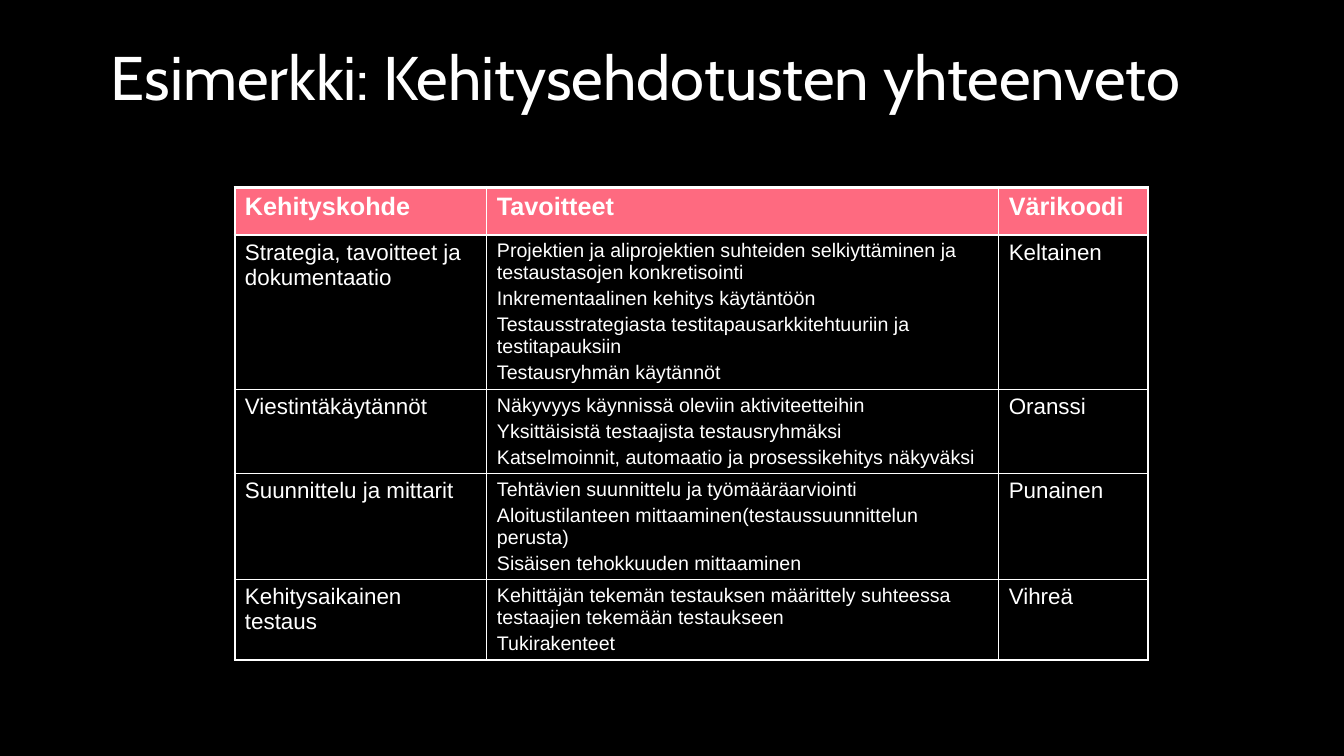
from lxml import etree
from pptx import Presentation
from pptx.dml.color import RGBColor
from pptx.enum.text import MSO_ANCHOR, MSO_AUTO_SIZE, PP_ALIGN
from pptx.oxml.ns import qn
from pptx.util import Cm, Pt

WHITE, PINK, BLACK = "FFFFFF", "FE6A80", "000000"


def color(hex_string):
    return RGBColor.from_string(hex_string)


def add_borders(cell, widths):
    """Draw white borders; widths in points: left, right, top, bottom."""
    properties = cell._tc.get_or_add_tcPr()
    for position, (side, width) in enumerate(zip("LRTB", widths)):
        line = etree.Element(qn(f"a:ln{side}"), w=str(Pt(width)))
        fill = etree.SubElement(line, qn("a:solidFill"))
        etree.SubElement(fill, qn("a:srgbClr"), val=WHITE)
        properties.insert(position, line)


prs = Presentation()
prs.slide_width, prs.slide_height = Cm(33.87), Cm(19.05)
slide = prs.slides.add_slide(prs.slide_layouts[5])
slide.background.fill.solid()
slide.background.fill.fore_color.rgb = color(BLACK)

# Title
title = slide.shapes.title
title.left, title.top, title.width, title.height = Cm(2.54), Cm(0.43), Cm(28.78), Cm(3.18)
title.text_frame.text = "Esimerkki: Kehitysehdotusten yhteenveto"
title.text_frame.auto_size = MSO_AUTO_SIZE.NONE
title.text_frame.vertical_anchor = MSO_ANCHOR.MIDDLE
heading = title.text_frame.paragraphs[0]
heading.alignment = PP_ALIGN.LEFT
heading.line_spacing = 0.9
heading.font.name, heading.font.size = "Cabin", Pt(44)
heading.font.color.rgb = color(WHITE)

# Summary table: area, goals, colour code
summary = [
    ("Kehityskohde", "Tavoitteet", "Värikoodi"),
    ("Strategia, tavoitteet ja dokumentaatio",
     "Projektien ja aliprojektien suhteiden selkiyttäminen ja testaustasojen konkretisointi\n"
     "Inkrementaalinen kehitys käytäntöön\n"
     "Testausstrategiasta testitapausarkkitehtuuriin ja testitapauksiin\n"
     "Testausryhmän käytännöt",
     "Keltainen"),
    ("Viestintäkäytännöt",
     "Näkyvyys käynnissä oleviin aktiviteetteihin\n"
     "Yksittäisistä testaajista testausryhmäksi\n"
     "Katselmoinnit, automaatio ja prosessikehitys näkyväksi",
     "Oranssi"),
    ("Suunnittelu ja mittarit",
     "Tehtävien suunnittelu ja työmääräarviointi\n"
     "Aloitustilanteen mittaaminen(testaussuunnittelun perusta)\n"
     "Sisäisen tehokkuuden mittaaminen",
     "Punainen"),
    ("Kehitysaikainen testaus",
     "Kehittäjän tekemän testauksen määrittely suhteessa testaajien tekemään testaukseen\n"
     "Tukirakenteet",
     "Vihreä"),
]
column_widths = [6.35, 12.9, 3.76]
row_heights = [1.2, 3.89, 2.11, 2.67, 2.03]
body_sizes = [16, 14, 16]
last_row, last_column = len(row_heights) - 1, len(column_widths) - 1

table = slide.shapes.add_table(
    len(row_heights), len(column_widths), Cm(5.92), Cm(4.72),
    Cm(sum(column_widths)), Cm(sum(row_heights))).table
for column, width in zip(table.columns, column_widths):
    column.width = Cm(width)
for row, height in zip(table.rows, row_heights):
    row.height = Cm(height)

for r, entries in enumerate(summary):
    for c, entry in enumerate(entries):
        cell = table.cell(r, c)
        is_header = r == 0
        if is_header:
            cell.fill.solid()
            cell.fill.fore_color.rgb = color(PINK)
        else:
            cell.fill.background()
        # The outer frame is thicker than the inner lines
        outer_sides = (c == 0, c == last_column, r == 0, r == last_row)
        add_borders(cell, [2.25 if outer else 1 for outer in outer_sides])

        cell.text_frame.text = entry
        for i, paragraph in enumerate(cell.text_frame.paragraphs):
            if i > 0:
                paragraph.space_before = Pt(2.8)
            paragraph.font.name = "Arial"
            paragraph.font.size = Pt(18 if is_header else body_sizes[c])
            paragraph.font.bold = is_header
            paragraph.font.color.rgb = color(WHITE)

prs.save("out.pptx")
